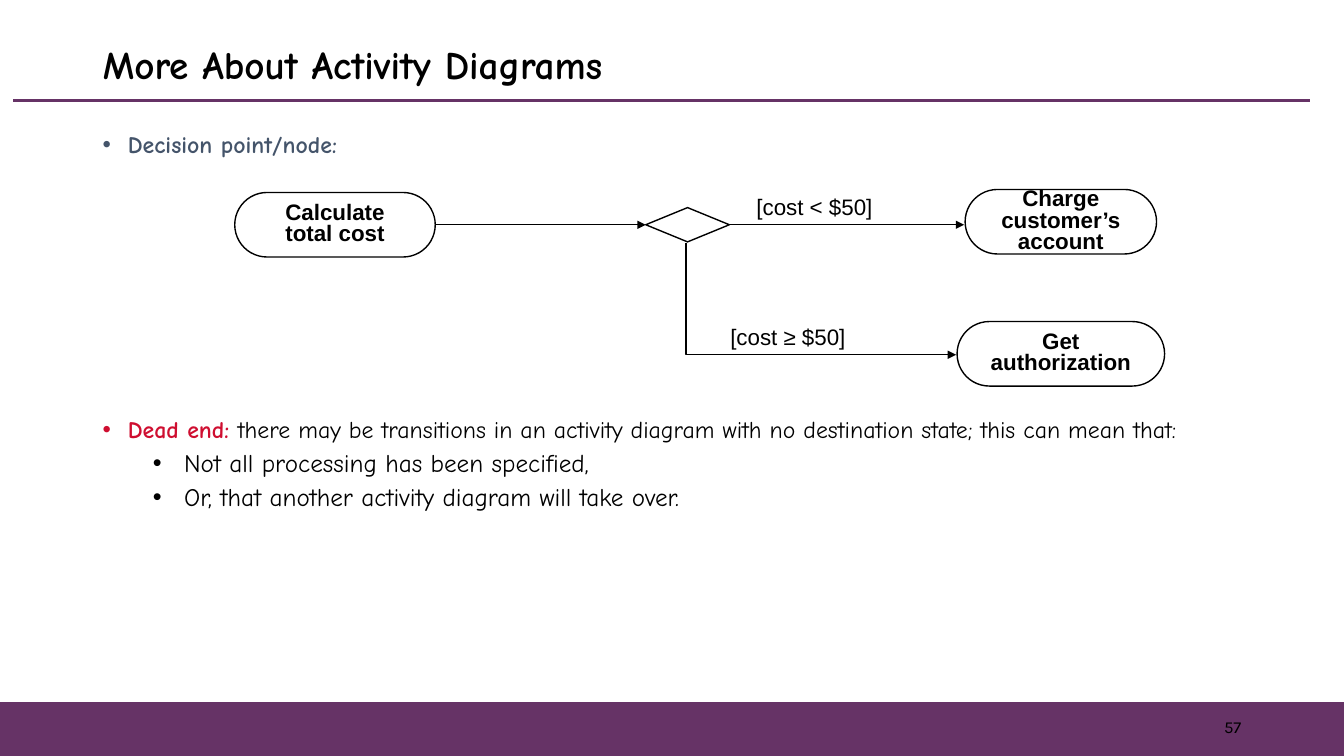
from lxml.etree import SubElement
from pptx import Presentation
from pptx.dml.color import RGBColor
from pptx.enum.shapes import MSO_CONNECTOR, MSO_SHAPE
from pptx.enum.text import MSO_ANCHOR, PP_ALIGN
from pptx.oxml.ns import qn
from pptx.util import Inches, Pt

THEME = {
    "purple": RGBColor.from_string("663366"),
    "black": RGBColor.from_string("000000"),
    "slate": RGBColor.from_string("44546A"),
    "red": RGBColor.from_string("CF0E30"),
    "heading_font": "Comic Neue",
    "diagram_font": "Arial",
    "number_font": "Karla",
    "title_size": Pt(28),
    "body_size": Pt(17),
    "sub_size": Pt(18),
    "diagram_size": Pt(16),
    "number_size": Pt(12),
}


def add_run(paragraph, text, color, **font_format):
    run = paragraph.add_run()
    run.text = text
    run.font.color.rgb = THEME[color]
    for name, value in font_format.items():
        setattr(run.font, name, value)


def style_line(shape, color="black", width=1, arrow=False):
    shape.line.color.rgb = THEME[color]
    shape.line.width = Pt(width)
    properties = shape._element.spPr
    if properties.find(qn("a:effectLst")) is None:
        SubElement(properties, qn("a:effectLst"))
    if arrow:
        SubElement(shape.line._get_or_add_ln(), qn("a:tailEnd"), type="triangle")


presentation = Presentation()
presentation.slide_width = Inches(13.34)
presentation.slide_height = Inches(7.5)
slide = presentation.slides.add_slide(presentation.slide_layouts[5])
shapes = slide.shapes

footer_bar = shapes.add_shape(MSO_SHAPE.RECTANGLE, 0, Inches(6.97), presentation.slide_width, Inches(0.53))
footer_bar.fill.solid()
footer_bar.fill.fore_color.rgb = THEME["purple"]
style_line(footer_bar, "purple")

title_rule = shapes.add_connector(MSO_CONNECTOR.STRAIGHT, Inches(0.13), Inches(1), Inches(13), Inches(1))
style_line(title_rule, "purple", 2.25)

title = shapes.title
title_place = {"left": 0.92, "top": 0.3, "width": 11.5, "height": 0.73}
for name, value in title_place.items():
    setattr(title, name, Inches(value))
title.text_frame.vertical_anchor = MSO_ANCHOR.MIDDLE
paragraph = title.text_frame.paragraphs[0]
paragraph.alignment = PP_ALIGN.LEFT
paragraph.line_spacing = 0.9
add_run(paragraph, "More About Activity Diagrams", "black",
        name=THEME["heading_font"], size=THEME["title_size"], bold=True)

body_paragraphs = [
    (0, 0, "slate", [("Decision point/node:", "slate", True)]),
    (0, 185, "red", [
        ("Dead end: ", "red", True),
        ("there may be transitions in an activity diagram with no destination state; "
         "this can mean that:", "black", False),
    ]),
    (1, 5, "black", [("Not all processing has been specified,", "black", False)]),
    (1, 5, "black", [("Or, that another activity diagram will take over.", "black", False)]),
]
level_formats = [(0.25, 0.25, THEME["body_size"]), (0.81, 0.31, THEME["sub_size"])]
body = shapes.add_textbox(Inches(0.92), Inches(1.27), Inches(11.5), Inches(5.49))
body.text_frame.word_wrap = True
for index, (level, space_before, bullet_color, runs) in enumerate(body_paragraphs):
    paragraph = body.text_frame.add_paragraph() if index else body.text_frame.paragraphs[0]
    margin, hanging, size = level_formats[level]
    properties = paragraph._p.get_or_add_pPr()
    properties.set("marL", str(Inches(margin)))
    properties.set("indent", str(-Inches(hanging)))
    SubElement(SubElement(properties, qn("a:buClr")), qn("a:srgbClr"), val=str(THEME[bullet_color]))
    SubElement(properties, qn("a:buFont"), typeface="Arial")
    SubElement(properties, qn("a:buChar"), char="•")
    paragraph.level = level
    paragraph.line_spacing = 0.9
    paragraph.space_before = Pt(space_before)
    for text, color, bold in runs:
        add_run(paragraph, text, color, name=THEME["heading_font"], size=size, bold=bold)

number_box = shapes.add_textbox(Inches(9.42), Inches(7.01), Inches(3), Inches(0.4))
number_box.text_frame.word_wrap = True
number_box.text_frame.vertical_anchor = MSO_ANCHOR.MIDDLE
paragraph = number_box.text_frame.paragraphs[0]
paragraph.alignment = PP_ALIGN.RIGHT
add_run(paragraph, "57", "black", name=THEME["number_font"], size=THEME["number_size"])

diagram_nodes = [
    ("calculate", MSO_SHAPE.ROUNDED_RECTANGLE, 2.33, 1.91, 1.99, 0.64, ["Calculate", "total cost"]),
    ("charge", MSO_SHAPE.ROUNDED_RECTANGLE, 9.58, 1.88, 1.9, 0.64, ["Charge", "customer’s", "account"]),
    ("authorize", MSO_SHAPE.ROUNDED_RECTANGLE, 9.5, 3.19, 2.06, 0.64, ["Get", "authorization"]),
    ("decision", MSO_SHAPE.DIAMOND, 6.41, 2.06, 0.83, 0.34, []),
]
nodes = {}
for key, kind, left, top, width, height, lines in diagram_nodes:
    node = shapes.add_shape(kind, Inches(left), Inches(top), Inches(width), Inches(height))
    node.fill.background()
    style_line(node)
    if kind == MSO_SHAPE.ROUNDED_RECTANGLE:
        node.adjustments[0] = 0.5
    frame = node.text_frame
    frame.word_wrap = False
    frame.margin_top = frame.margin_bottom = 0
    frame.vertical_anchor = MSO_ANCHOR.MIDDLE
    for index, line in enumerate(lines):
        paragraph = frame.add_paragraph() if index else frame.paragraphs[0]
        paragraph.alignment = PP_ALIGN.CENTER
        paragraph.line_spacing = 0.8
        add_run(paragraph, line, "black", name=THEME["diagram_font"],
                size=THEME["diagram_size"], bold=True)
    nodes[key] = node

flow_y = Inches(2.23)
to_decision = shapes.add_connector(MSO_CONNECTOR.STRAIGHT, Inches(4.32), flow_y, Inches(6.41), flow_y)
to_decision.begin_connect(nodes["calculate"], 3)
to_decision.end_connect(nodes["decision"], 1)
to_charge = shapes.add_connector(MSO_CONNECTOR.STRAIGHT, Inches(7.24), flow_y, Inches(9.57), flow_y)
to_charge.begin_connect(nodes["decision"], 3)

builder = shapes.build_freeform(Inches(6.81), Inches(2.41))
builder.add_line_segments([(Inches(6.81), Inches(3.52)), (Inches(9.49), Inches(3.52))], close=False)
to_authorize = builder.convert_to_shape()
to_authorize.fill.background()
for flow in (to_decision, to_charge, to_authorize):
    style_line(flow, arrow=True)

for left, top, guard in [(7.41, 1.87, "[cost < $50]"), (7.15, 3.16, "[cost ≥ $50]")]:
    label = shapes.add_textbox(Inches(left), Inches(top), Inches(1.35), Inches(0.36))
    label.text_frame.word_wrap = False
    add_run(label.text_frame.paragraphs[0], guard, "black",
            name=THEME["diagram_font"], size=THEME["diagram_size"])

presentation.save("out.pptx")
